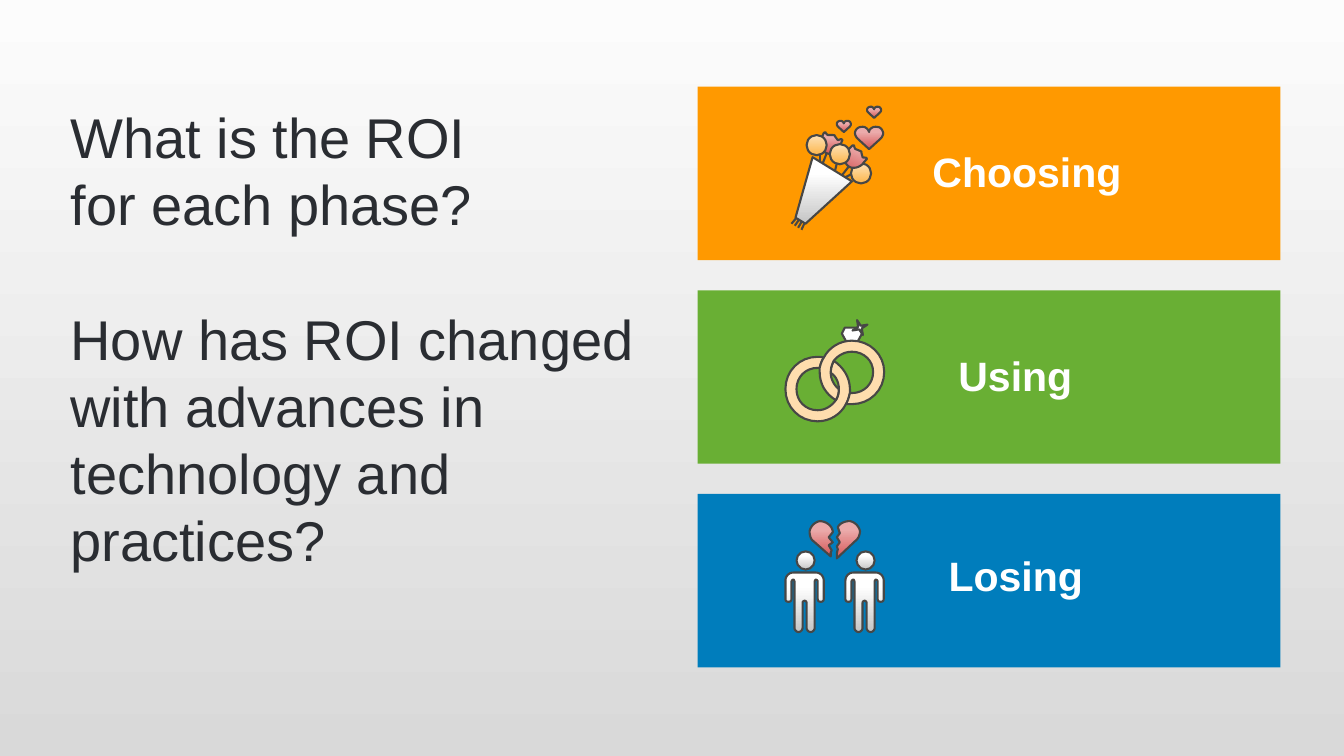
from dataclasses import dataclass

from lxml import etree
from pptx import Presentation
from pptx import util as u
from pptx.dml.color import RGBColor
from pptx.enum import shapes, text
from pptx.oxml.ns import qn


@dataclass(frozen=True)
class Theme:
    font: str = "Arial"
    title_size: float = 40
    title_leading: float = 48
    label_size: float = 29.3
    outline_width: float = 1.5
    ink: str = "2A2D32"
    white: str = "FFFFFF"
    outline: str = "474746"
    orange: str = "FF9900"
    green: str = "69AF34"
    blue: str = "007DBC"
    gold: str = "FEDDAE"
    # Gradients: first stop position, first colour, last colour
    backdrop: tuple = (0, "FCFCFC", "D9D9D9")
    red: tuple = (0.24, "EBABAB", "D65757")
    silver: tuple = (0.24, "FFFFFF", "C5C5C5")
    bloom: tuple = (0, "FEE2B7", "FCB64C")


THEME = Theme()

# Grid of the three phase bars, in inches
BAR_LEFT, BAR_TOP, BAR_WIDTH, BAR_HEIGHT, BAR_PITCH = 6.92, 0.86, 5.78, 1.72, 2.02
ICON_INDENT = 0.87
LABEL_HEIGHT = 0.59

# Icon outlines, in hundredths of an inch
HEART = ("M 14 5 C 14 2 18 -1 22 0 C 25 0 27 2 28 6 C 28 8 27 10 25 12 L 14 22 L 3 12 "
         "C 1 10 0 8 0 6 C 0 3 3 0 6 0 C 10 -1 13 2 14 5")
TULIP = ("M 0 8 C -2 13 1 19 6 21 C 11 23 16 20 19 15 L 21 9 C 22 8 21 7 20 7 L 17 8 "
         "L 14 4 C 14 3 13 3 12 3 L 7 3 L 5 1 C 5 0 4 0 3 1")
WRAPPER = "M 10 130 L 27 70 L 66 94 L 20 136"
DIAMOND = "M 71 52 L 61 52 L 56 43 L 59 37 L 73 37 L 76 43"
LEFT_RING = ("M 45 82 C 45 77 46 74 48 70 C 57 76 64 86 64 98 C 64 99 64 101 64 102 "
             "C 63 106 62 110 60 113 C 55 123 44 130 32 130 C 14 130 0 116 0 98 "
             "C 0 80 14 66 32 66 C 34 66 36 66 38 67 C 36 70 35 73 34 77 L 32 77 "
             "C 20 77 11 86 11 98 C 11 110 20 119 32 119 C 39 119 46 115 50 109 "
             "C 52 106 53 102 53 98 C 53 91 50 85 45 82")
RIGHT_RING = ("M 53 98 C 48 94 45 88 45 82 C 45 77 46 74 48 70 C 52 65 58 61 66 61 "
              "C 78 61 87 70 87 81 C 87 93 78 102 66 102 L 64 102 C 63 106 62 110 60 113 "
              "L 66 113 C 84 113 98 99 98 81 C 98 64 84 50 66 50 C 54 50 43 57 38 67 "
              "C 36 70 35 73 34 77 L 34 81 C 34 93 40 103 50 109 C 52 106 53 102 53 98")
LEFT_HALF_HEART = ("M 47 37 C 46 31 40 27 34 27 C 29 28 25 32 24 37 C 24 41 25 45 28 47 "
                   "L 45 62 L 45 58 L 46 56 L 43 51 L 47 48 L 43 43 L 47 38")
RIGHT_HALF_HEART = ("M 51 64 L 69 47 C 72 45 74 41 74 37 C 73 32 69 28 64 27 "
                    "C 59 27 54 29 52 33 L 54 39 L 51 43 L 54 48 L 51 52 L 52 55 L 51 59")
PERSON = ("M 19 106 C 18 106 17 107 17 108 L 17 133 C 17 135 15 137 13 137 "
          "C 11 137 9 135 9 133 L 9 87 C 9 86 8 85 8 85 C 7 85 6 86 6 87 L 6 104 "
          "C 6 106 5 107 3 107 C 1 107 0 106 0 104 L 0 86 C 0 82 3 78 8 78 L 30 78 "
          "C 35 78 38 82 38 86 L 38 104 C 38 106 37 107 35 107 C 33 107 32 106 32 104 "
          "L 32 87 C 32 86 31 85 30 85 C 30 85 29 86 29 87 L 29 133 "
          "C 29 135 27 137 25 137 C 23 137 21 135 21 133 L 21 108 C 21 107 20 106 19 106")


def paint(fill, paint_value):
    """Fill with one colour, or with a top-to-bottom gradient."""
    if isinstance(paint_value, str):
        fill.solid()
        fill.fore_color.rgb = RGBColor.from_string(paint_value)
        return
    start, *colours = paint_value
    fill.gradient()
    fill.gradient_angle = 270
    for stop, position, colour in zip(fill.gradient_stops, (start, 1), colours):
        stop.position = position
        stop.color.rgb = RGBColor.from_string(colour)


def format_runs(paragraph, size, colour, bold=False):
    for run in paragraph.runs:
        run.font.name = THEME.font
        run.font.size = u.Pt(size)
        run.font.bold = bold
        run.font.color.rgb = RGBColor.from_string(colour)


def flatten(outline, steps=8):
    """Turn move, line and cubic curve commands into a list of points."""
    points = []
    for command in outline.replace("C", "|C").replace("L", "|L").split("|"):
        values = [float(value) for value in command.split()[1:]]
        pairs = list(zip(values[::2], values[1::2]))
        if len(pairs) == 1:
            points += pairs
            continue
        controls = [points[-1], *pairs]
        for step in range(1, steps + 1):
            t = step / steps
            weights = ((1 - t) ** 3, 3 * t * (1 - t) ** 2, 3 * t * t * (1 - t), t ** 3)
            points.append(tuple(sum(w * p[axis] for w, p in zip(weights, controls))
                                for axis in (0, 1)))
    return points


class Icon:
    """A group of outlined pieces, placed from the icon's own origin."""

    def __init__(self, slide, left, top):
        self.pieces = slide.shapes.add_group_shape().shapes
        self.left, self.top = left, top

    def point(self, x, y):
        return u.Inches(self.left + x / 100), u.Inches(self.top + y / 100)

    def finish(self, shape, fill):
        paint(shape.fill, fill)
        shape.line.color.rgb = RGBColor.from_string(THEME.outline)
        shape.line.width = u.Pt(THEME.outline_width)
        shape.shadow.inherit = False
        return shape

    def outline(self, outline, fill, x=0, y=0, scale=1):
        points = [self.point(x + scale * px, y + scale * py) for px, py in flatten(outline)]
        builder = self.pieces.build_freeform(*points[0])
        builder.add_line_segments(points[1:], close=True)
        return self.finish(builder.convert_to_shape(), fill)

    def preset(self, kind, fill, x, y, size):
        side = u.Inches(size / 100)
        return self.finish(self.pieces.add_shape(kind, *self.point(x, y), side, side), fill)

    def stroke(self, x1, y1, x2, y2):
        line = self.pieces.add_connector(shapes.MSO_CONNECTOR.STRAIGHT,
                                         *self.point(x1, y1), *self.point(x2, y2))
        line.line.color.rgb = RGBColor.from_string(THEME.outline)
        line.line.width = u.Pt(THEME.outline_width)
        etree.SubElement(line._element.spPr, qn("a:effectLst"))


def draw_bouquet(icon):
    oval = shapes.MSO_SHAPE.OVAL
    icon.outline(WRAPPER, THEME.silver)
    for stem in ((41, 66, 37, 76), (63, 79, 56, 88), (65, 87, 59, 90),
                 (51, 76, 49, 84), (34, 67, 34, 74)):
        icon.stroke(*stem)
    for end in range(4):
        icon.stroke(11 + 2.7 * end, 130 + 1.7 * end, 6 + 3.3 * end, 136 + 2 * end)
    icon.outline(TULIP, THEME.red, 35, 45)
    icon.preset(oval, THEME.bloom, 65, 76, 20)
    icon.outline(TULIP, THEME.red, 59, 59.5).rotation = 22
    for x, y in ((44, 57), (21, 48)):
        icon.preset(oval, THEME.bloom, x, y, 20)
    for x, y, scale in ((69, 40, 1), (51, 34, 0.5), (81, 20, 0.5)):
        icon.outline(HEART, THEME.red, x, y, scale)


def draw_rings(icon):
    icon.outline(DIAMOND, THEME.white)
    icon.outline(LEFT_RING, THEME.gold)
    icon.outline(RIGHT_RING, THEME.gold)
    icon.preset(shapes.MSO_SHAPE.STAR_4_POINT, THEME.white, 66, 29, 16).rotation = 338.7


def draw_parting_couple(icon):
    icon.outline(LEFT_HALF_HEART, THEME.red)
    icon.outline(RIGHT_HALF_HEART, THEME.red)
    for x in (0, 59.5):
        icon.outline(PERSON, THEME.silver, x)
        icon.preset(shapes.MSO_SHAPE.OVAL, THEME.silver, x + 11, 57, 18)


def add_bar(slide, top, colour):
    bar = slide.shapes.add_shape(shapes.MSO_SHAPE.RECTANGLE, u.Inches(BAR_LEFT), u.Inches(top),
                                 u.Inches(BAR_WIDTH), u.Inches(BAR_HEIGHT))
    paint(bar.fill, colour)
    bar.line.fill.background()
    bar.shadow.inherit = False


def add_label(slide, label, left, top, width):
    box = slide.shapes.add_textbox(*map(u.Inches, (left, top, width, LABEL_HEIGHT)))
    box.text_frame.text = label
    box.text_frame.word_wrap = False
    box.text_frame.auto_size = text.MSO_AUTO_SIZE.SHAPE_TO_FIT_TEXT
    paragraph = box.text_frame.paragraphs[0]
    paragraph.alignment = text.PP_ALIGN.CENTER
    format_runs(paragraph, THEME.label_size, THEME.white, bold=True)


def set_title(slide, questions):
    title = slide.shapes.title
    title.left, title.top, title.width, title.height = map(u.Inches, (0.6, 2.44, 6.32, 1.82))
    frame = title.text_frame
    frame.text = questions
    frame.word_wrap = True
    frame.auto_size = text.MSO_AUTO_SIZE.NONE
    frame.vertical_anchor = text.MSO_ANCHOR.MIDDLE
    for index, paragraph in enumerate(frame.paragraphs):
        paragraph.alignment = text.PP_ALIGN.LEFT
        paragraph.line_spacing = u.Pt(THEME.title_leading)
        paragraph.space_before = u.Pt(THEME.title_leading * index)
        format_runs(paragraph, THEME.title_size, THEME.ink)


def main():
    presentation = Presentation()
    presentation.slide_width, presentation.slide_height = u.Inches(13.33), u.Inches(7.5)
    slide = presentation.slides.add_slide(presentation.slide_layouts[5])
    paint(slide.background.fill, THEME.backdrop)
    set_title(slide, "What is the ROI\vfor each phase?\n"
                     "How has ROI changed with advances in technology and practices?")
    # Phases: colour, icon, then label with its left, top and width
    phases = ((THEME.orange, draw_bouquet, ("Choosing", 9.14, 1.4, 2.09)),
              (THEME.green, draw_rings, ("Using", 9.4, 3.43, 1.34)),
              (THEME.blue, draw_parting_couple, ("Losing", 9.3, 5.41, 1.55)))
    for row, (colour, draw_icon, label) in enumerate(phases):
        top = BAR_TOP + row * BAR_PITCH
        add_bar(slide, top, colour)
        add_label(slide, *label)
        draw_icon(Icon(slide, BAR_LEFT + ICON_INDENT, top))
    presentation.save("out.pptx")


if __name__ == "__main__":
    main()
